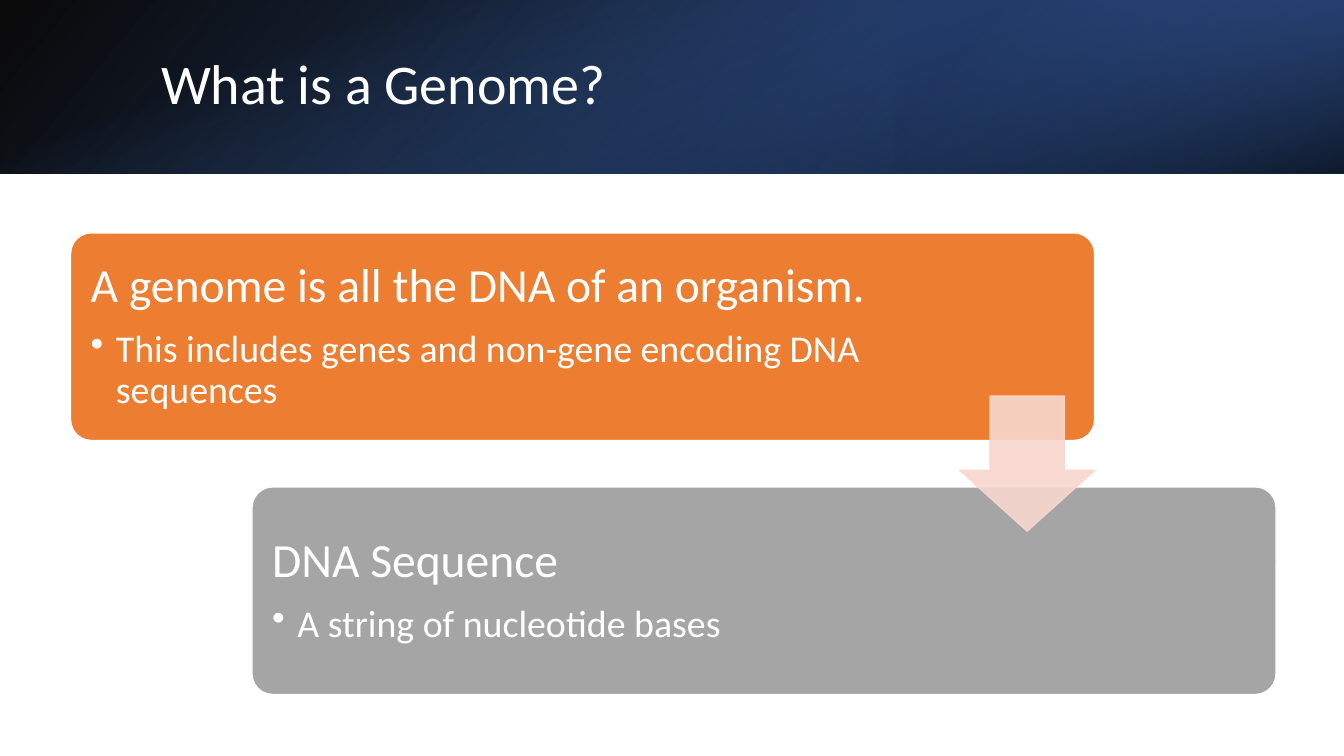
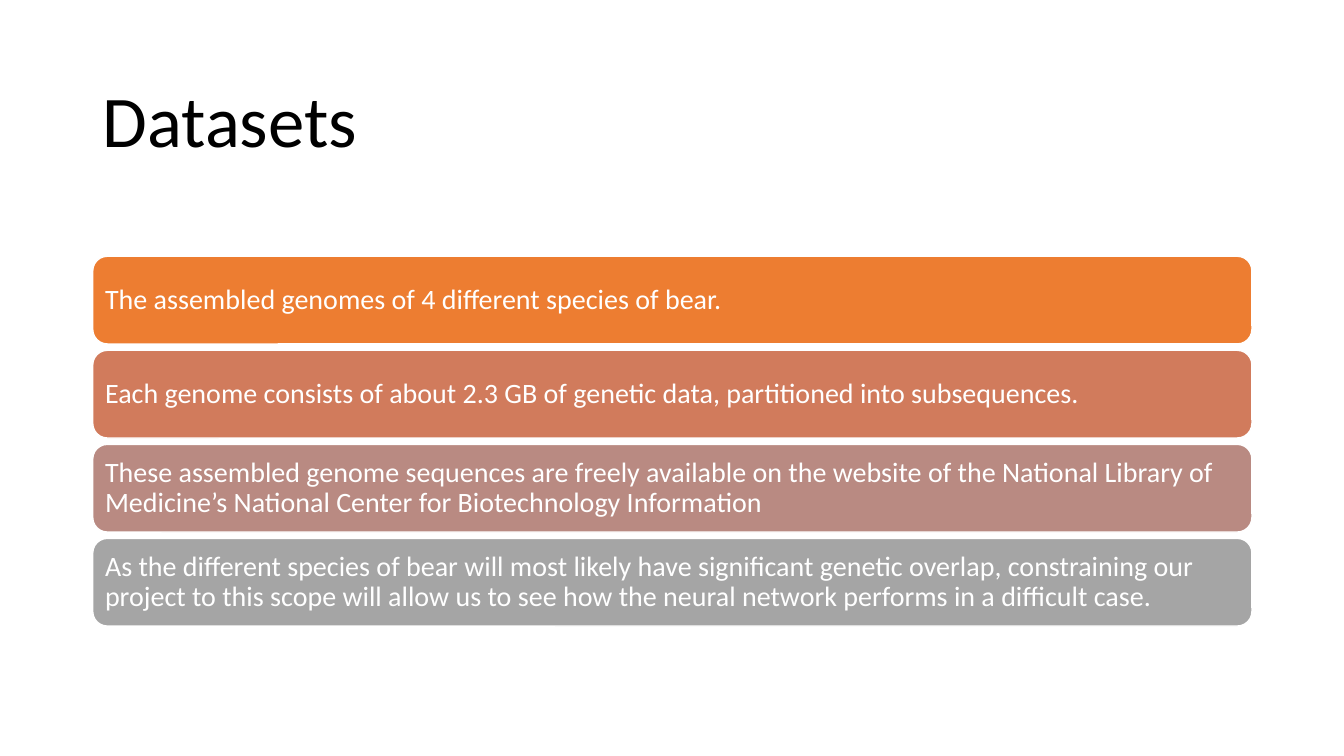
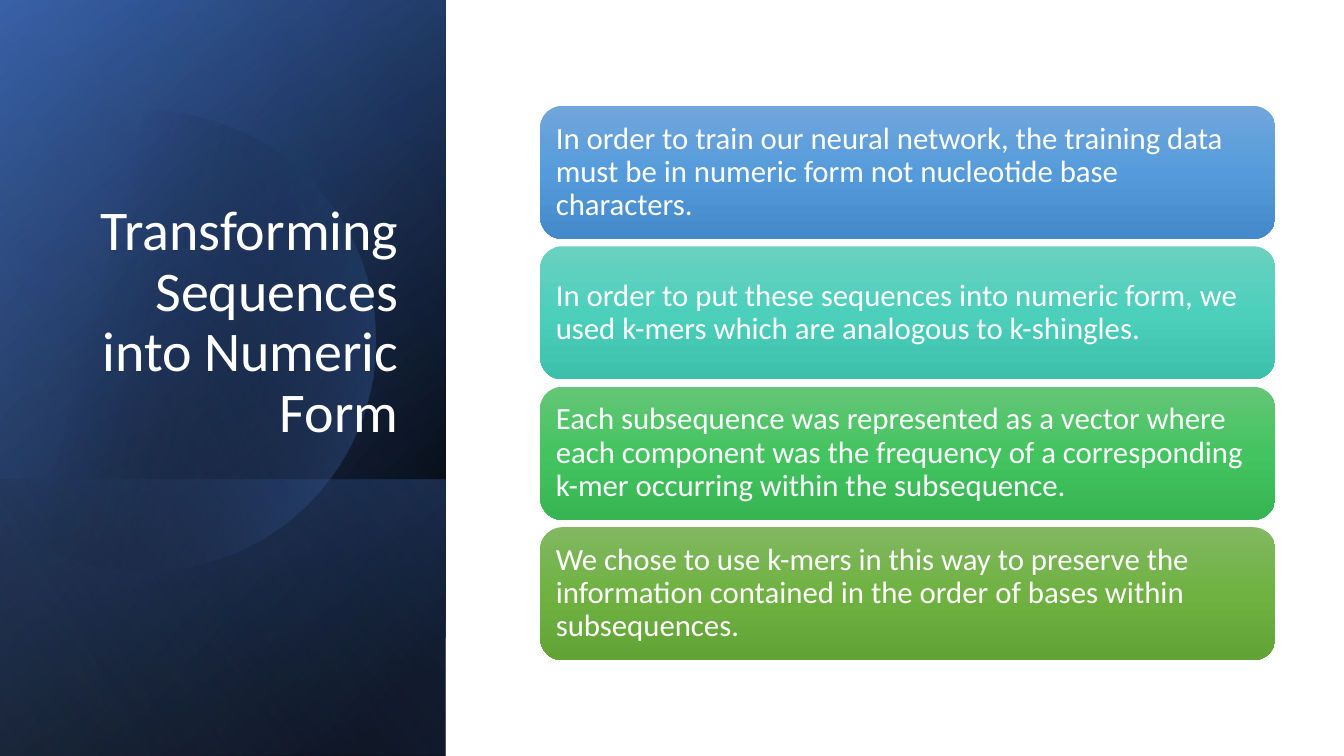
from math import cos, radians, sin

from lxml.etree import SubElement
from pptx import Presentation
from pptx.dml.color import RGBColor
from pptx.enum.shapes import MSO_SHAPE as Shape
from pptx.enum.text import MSO_ANCHOR as Anchor, PP_ALIGN as Align
from pptx.oxml import parse_xml
from pptx.oxml.ns import nsdecls, qn
from pptx.util import Inches, Pt


def colour(code):
    return RGBColor.from_string(code)


class Deck:
    """Builds pages in one style; positions and sizes are percent of the slide."""

    FONT = "Calibri"
    WHITE, BLACK = "FFFFFF", "000000"
    BLUE, NAVY, DEEP, SKY = "4472C4", "2F5597", "203864", "8FAADC"
    ORANGE, GREY, PINK = "ED7D31", "A5A5A5", "F8D7CE"

    def __init__(self):
        self.show = Presentation()
        self.show.slide_width = Inches(13.33)
        self.show.slide_height = Inches(7.5)
        self.page = None

    def new_page(self):
        self.page = self.show.slides.add_slide(self.show.slide_layouts[6])

    def x(self, share):
        return round(self.show.slide_width * share / 100)

    def y(self, share):
        return round(self.show.slide_height * share / 100)

    def frame(self, left, top, width, height):
        return self.x(left), self.y(top), self.x(width), self.y(height)

    def solid(self, shape, code, edge=None, alpha=100):
        shape.fill.solid()
        shape.fill.fore_color.rgb = colour(code)
        shape.line.color.rgb = colour(edge or code)
        shape.line.width = Pt(1)
        if alpha < 100:
            for tint in shape.element.spPr.iter(qn("a:srgbClr")):
                SubElement(tint, qn("a:alpha")).set("val", str(alpha * 1000))

    def gradient(self, shape, stops, angle):
        shape.line.fill.background()
        shape.fill.background()
        marks = "".join(
            f'<a:gs pos="{place * 1000}"><a:srgbClr val="{code}">'
            f'<a:alpha val="{alpha * 1000}"/></a:srgbClr></a:gs>'
            for place, code, alpha in stops)
        fill = parse_xml(
            f'<a:gradFill {nsdecls("a")} rotWithShape="1"><a:gsLst>{marks}</a:gsLst>'
            f'<a:lin ang="{angle * 60000}" scaled="0"/></a:gradFill>')
        properties = shape.element.spPr
        properties.replace(properties.find(qn("a:noFill")), fill)

    def shape(self, kind, box, adjust=()):
        shape = self.page.shapes.add_shape(kind, *self.frame(*box))
        shape.shadow.inherit = False
        for index, value in enumerate(adjust):
            shape.adjustments[index] = value
        return shape

    def panel(self, box, stops, angle, turn=0, flip=True):
        panel = self.shape(Shape.RECTANGLE, box)
        if turn == 90:
            shift = (panel.width - panel.height) // 2
            panel.left, panel.top = panel.left + shift, panel.top - shift
            panel.width, panel.height = panel.height, panel.width
        panel.rotation = turn
        if flip:
            panel.element.spPr.find(qn("a:xfrm")).set("flipH", "1")
        self.gradient(panel, stops, angle)

    def disc(self, centre, radius, cut, stops, angle):
        points = [(Inches(centre[0] + radius * cos(radians(turn))),
                   Inches(centre[1] + radius * sin(radians(turn))))
                  for turn in range(-cut, cut + 1, 3)]
        builder = self.page.shapes.build_freeform(*points[0])
        builder.add_line_segments(points[1:], close=True)
        disc = builder.convert_to_shape()
        disc.shadow.inherit = False
        self.gradient(disc, stops, angle)

    def add_text(self, para, text, size, code, align=Align.LEFT):
        para.alignment = align
        para.line_spacing = 0.9
        span = para.add_run()
        span.text = text
        span.font.name = self.FONT
        span.font.size = Pt(size)
        span.font.color.rgb = colour(code)

    def title(self, text, box, size=40, code=WHITE, anchor=Anchor.MIDDLE, align=Align.LEFT):
        words = self.page.shapes.add_textbox(*self.frame(*box)).text_frame
        words.word_wrap = True
        words.vertical_anchor = anchor
        self.add_text(words.paragraphs[0], text, size, code, align)

    def card(self, box, text, size, margin, right=None, adjust=()):
        card = self.shape(Shape.ROUNDED_RECTANGLE, box, adjust)
        words = card.text_frame
        words.word_wrap = True
        words.vertical_anchor = Anchor.MIDDLE
        words.margin_left = words.margin_top = words.margin_bottom = Inches(margin)
        words.margin_right = Inches(right or margin)
        self.add_text(words.paragraphs[0], text, size, self.WHITE)
        return card

    def bullet(self, card, text, size):
        card.text_frame.paragraphs[0].space_after = Pt(12)
        para = card.text_frame.add_paragraph()
        self.add_text(para, text, size, self.WHITE)
        layout = para._p.get_or_add_pPr()
        layout.set("marL", str(Inches(0.25)))
        layout.set("indent", str(-Inches(0.25)))
        SubElement(layout, qn("a:buChar")).set("char", "•")

    def stack(self, box, pitch, size, margin, texts):
        left, top, width, height = box
        return [self.card((left, top + row * pitch, width, height), text, size, margin)
                for row, text in enumerate(texts)]


def genome_page(deck):
    deck.new_page()
    band = (0, 0, 100, 22.93)
    deck.panel(band, [(0, deck.BLACK, 96), (100, deck.NAVY, 100)], 140)
    deck.panel((66.67, 0, 33.33, 22.93),
               [(19, deck.DEEP, 68), (100, deck.BLUE, 79)], 320, turn=180)
    deck.panel(band, [(23, deck.BLUE, 0), (99, deck.BLACK, 74)], 340, turn=90, flip=False)
    deck.title("What is a Genome?", (11.25, 5.07, 82.37, 12.8))
    cards = [
        (5.25, 30.8, deck.ORANGE, 2.15, "A genome is all the DNA of an organism.",
         "This includes genes and non-gene encoding DNA sequences"),
        (18.75, 64.4, deck.GREY, 3.28, "DNA Sequence", "A string of nucleotide bases"),
    ]
    for left, top, code, right, heading, detail in cards:
        card = deck.card((left, top, 76.2, 27.47), heading, 34, 0.14, right, [0.1])
        deck.solid(card, code, deck.WHITE)
        deck.bullet(card, detail, 27)
    arrow = deck.shape(Shape.DOWN_ARROW, (71.4, 52.4, 10.05, 17.87), [0.55, 0.45])
    deck.solid(arrow, deck.PINK, alpha=90)


def datasets_page(deck):
    deck.new_page()
    deck.title("Datasets", (6.9, 8.13, 86.25, 16.53), size=52, code=deck.BLACK)
    cards = deck.stack((6.9, 33.9, 86.25, 11.6), 12.44, 20, 0.08, [
        "The assembled genomes of 4 different species of bear.",
        "Each genome consists of about 2.3 GB of genetic data, partitioned into subsequences.",
        "These assembled genome sequences are freely available on the website of the "
        "National Library of Medicine’s National Center for Biotechnology Information",
        "As the different species of bear will most likely have significant genetic overlap, "
        "constraining our project to this scope will allow us to see how the neural network "
        "performs in a difficult case.",
    ])
    for card, code in zip(cards, [deck.ORANGE, "D17B5C", "B98A82", deck.GREY]):
        deck.solid(card, code, deck.WHITE)


def numeric_page(deck):
    deck.new_page()
    side = (0, 0, 33.16, 100)
    deck.panel(side, [(8, deck.BLACK, 100), (100, deck.NAVY, 100)], 50, turn=90)
    deck.panel(side, [(0, deck.BLACK, 0), (99, deck.BLUE, 46)], 30, turn=90)
    deck.panel((0, 63.47, 33.16, 36.53),
               [(2, deck.BLUE, 29), (100, deck.BLACK, 30)], 130, turn=90)
    deck.disc((1.44, 3.38), 2.28, 129, [(29, deck.BLACK, 0), (100, deck.BLUE, 43)], 14)
    deck.panel(side, [(0, deck.BLACK, 0), (99, deck.SKY, 11)], 120, turn=90)
    deck.title("Transforming Sequences into Numeric Form", (4.8, 24.53, 25.58, 34.93),
               anchor=Anchor.BOTTOM, align=Align.RIGHT)
    cards = deck.stack((40.2, 14, 54.7, 17.6), 18.58, 22, 0.09, [
        "In order to train our neural network, the training data must be in numeric form "
        "not nucleotide base characters.",
        "In order to put these sequences into numeric form, we used k-mers which are "
        "analogous to k-shingles.",
        "Each subsequence was represented as a vector where each component was the frequency "
        "of a corresponding k-mer occurring within the subsequence.",
        "We chose to use k-mers in this way to preserve the information contained in the "
        "order of bases within subsequences.",
    ])
    shades = [("71A6DB", "559BDB", "448ACA"), ("6AD1C0", "4CD0BC", "3CC0AC"),
              ("64C677", "44C460", "36B552"), ("81B861", "6FB242", "62A336")]
    for card, codes in zip(cards, shades):
        deck.gradient(card, [(row * 50, code, 100) for row, code in enumerate(codes)], 90)


def main():
    deck = Deck()
    genome_page(deck)
    datasets_page(deck)
    numeric_page(deck)
    deck.show.save("out.pptx")


if __name__ == "__main__":
    main()
